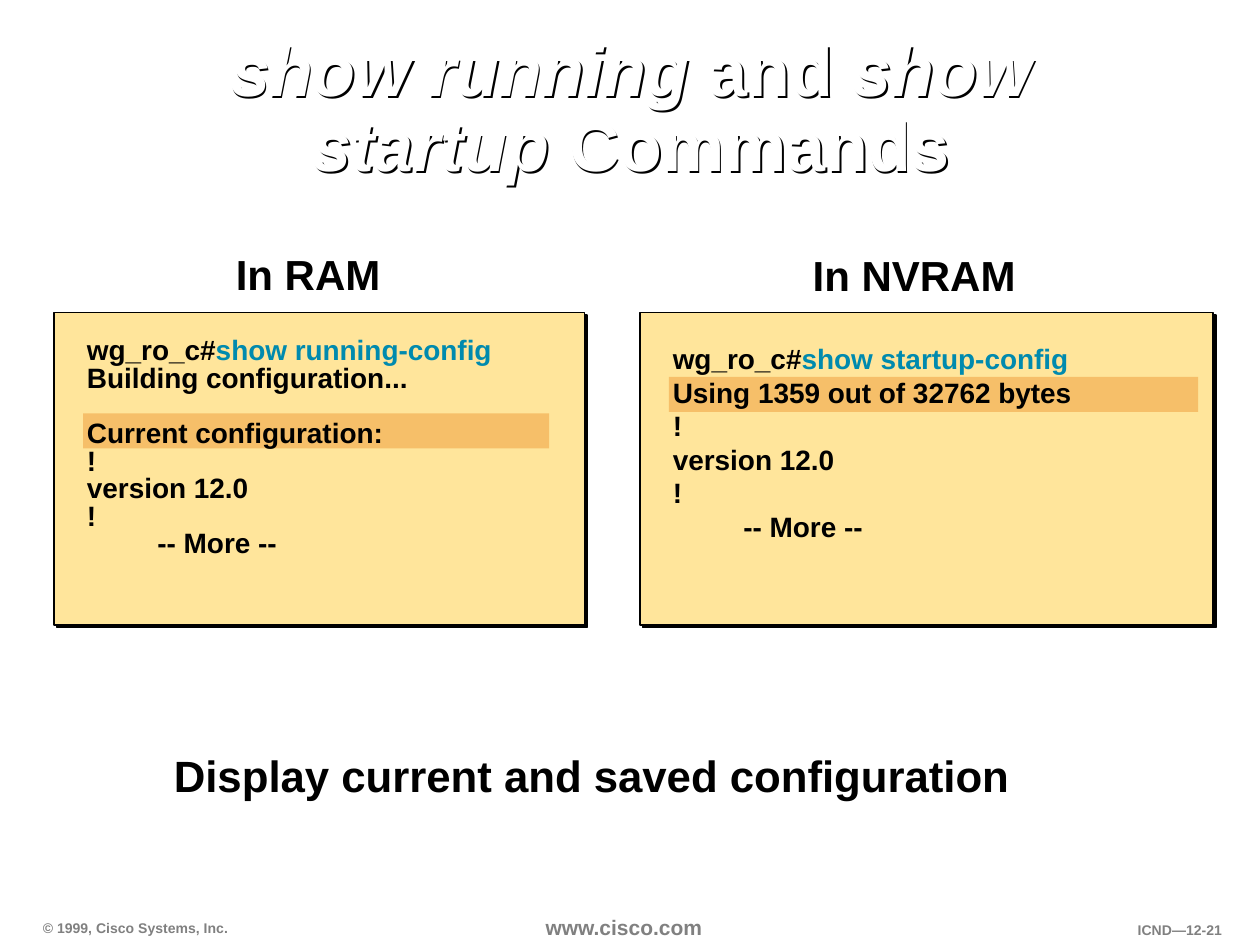
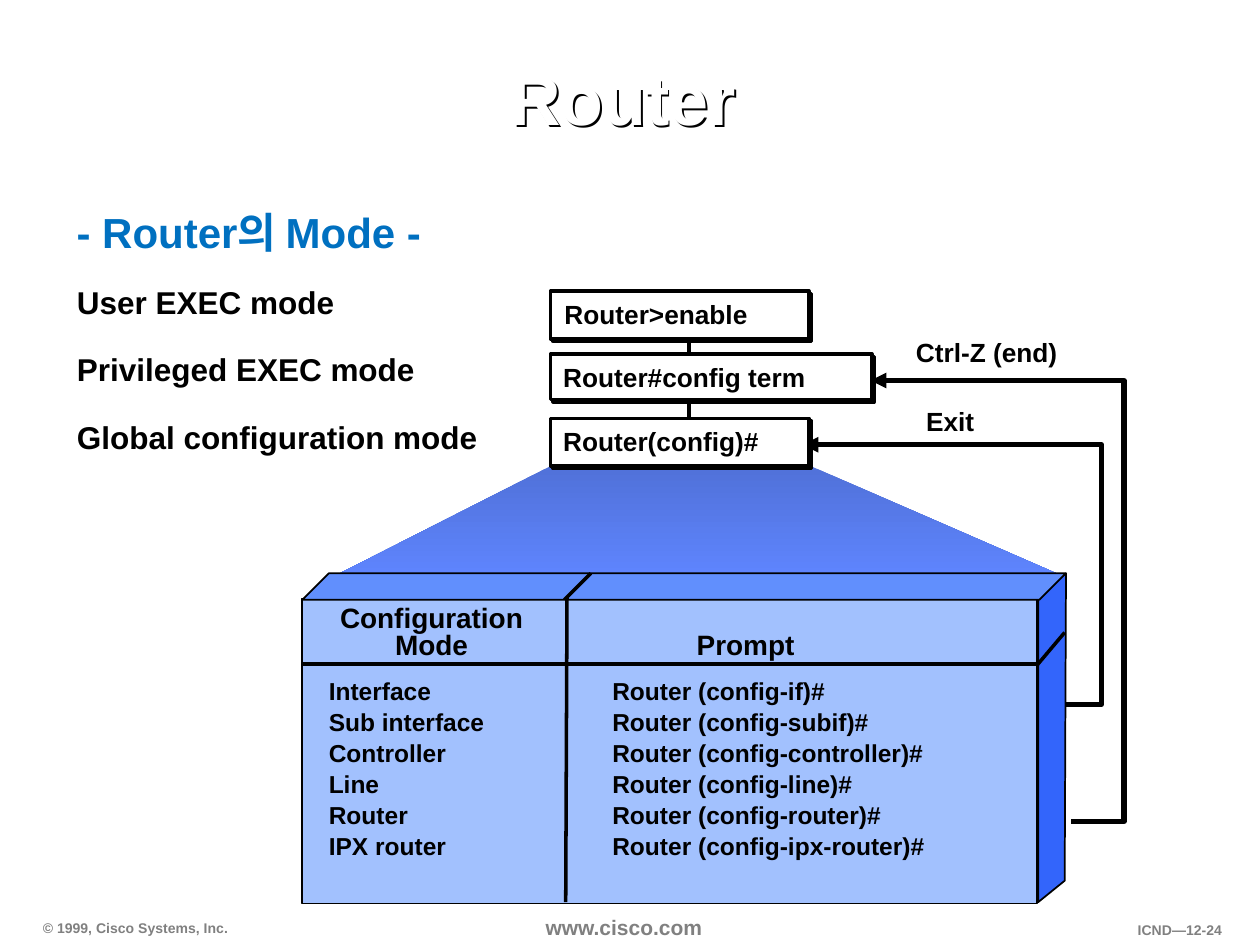
"""Builds two slides on router configuration commands and modes."""
from lxml.etree import SubElement
from pptx import Presentation
from pptx.dml.color import RGBColor
from pptx.enum.shapes import MSO_CONNECTOR, MSO_SHAPE
from pptx.enum.text import MSO_ANCHOR, MSO_AUTO_SIZE, PP_ALIGN
from pptx.oxml.ns import qn
from pptx.util import Inches, Pt

BLACK = RGBColor(0x00, 0x00, 0x00)
WHITE = RGBColor(0xFF, 0xFF, 0xFF)
GRAY = RGBColor(0x80, 0x80, 0x80)
TEAL = RGBColor(0x00, 0x8A, 0xAE)
HEADING_BLUE = RGBColor(0x00, 0x70, 0xC0)
CREAM = RGBColor(0xFF, 0xE5, 0x9B)
ORANGE = RGBColor(0xF6, 0xBF, 0x69)
BEAM_TOP = RGBColor(0x50, 0x71, 0xD8)
BEAM_BOTTOM = RGBColor(0x5F, 0x85, 0xFF)
FRONT_BLUE = RGBColor(0xA2, 0xC1, 0xFE)
TOP_BLUE = RGBColor(0x61, 0x8F, 0xFD)
SIDE_BLUE = RGBColor(0x33, 0x65, 0xFB)


def write(tf, paragraphs, size=16, color=BLACK, align=PP_ALIGN.LEFT, spacing=None,
          before=0, margin=0, indent=0):
    for i, runs in enumerate(paragraphs):
        runs = [runs] if isinstance(runs, str) else runs
        runs = [(run, {}) if isinstance(run, str) else run for run in runs]
        p = tf.paragraphs[0] if i == 0 else tf.add_paragraph()
        pPr = p._p.get_or_add_pPr()
        pPr.set("marL", str(Inches(runs[0][1].get("margin", margin))))
        pPr.set("indent", str(Inches(indent)))
        SubElement(pPr, qn("a:buNone"))
        p.alignment = align
        p.space_before = Pt(before if i else 0)
        if spacing:
            p.line_spacing = spacing
        for text, style in runs:
            r = p.add_run()
            r.text = text
            r.font.name = "Arial"
            r.font.size = Pt(size)
            r.font.bold = True
            r.font.italic = style.get("italic", False)
            r.font.color.rgb = style.get("color", color)


class Deck:
    def __init__(self):
        self.prs = Presentation()
        self.prs.slide_width, self.prs.slide_height = Inches(10), Inches(7.5)
        self.s = None

    def slide(self, page, title, title_box):
        self.s = self.prs.slides.add_slide(self.prs.slide_layouts[1])
        sp = self.s.shapes.title
        self.frame(sp, title_box, (0.09, 0.04), MSO_ANCHOR.MIDDLE)
        write(sp.text_frame, [title], size=40, color=WHITE,
              align=PP_ALIGN.CENTER, spacing=0.9)
        self.shadow(sp, 1.4)
        self.text((0.25, 7.26, 1.8, 0.22), ["© 1999, Cisco Systems, Inc."],
                  inset=(0.09, 0.04), size=8, color=GRAY)
        self.text((4.25, 7.22, 1.5, 0.28), ["www.cisco.com"],
                  inset=(0.08, 0.04), size=12, color=GRAY)
        self.text((8.52, 7.27, 1.27, 0.22), [f"ICND—{page}"],
                  inset=(0.09, 0.04), size=8, color=GRAY, align=PP_ALIGN.RIGHT)

    def frame(self, sp, box, inset, anchor=MSO_ANCHOR.TOP):
        sp.left, sp.top, sp.width, sp.height = map(Inches, box)
        tf = sp.text_frame
        tf.word_wrap = True
        tf.auto_size = MSO_AUTO_SIZE.NONE
        tf.vertical_anchor = anchor
        tf.margin_left = tf.margin_right = Inches(inset[0])
        tf.margin_top = tf.margin_bottom = Inches(inset[1])

    def text(self, box, paragraphs, inset=(0.1, 0.05), **style):
        sp = self.s.shapes.add_textbox(*map(Inches, box))
        self.frame(sp, box, inset)
        write(sp.text_frame, paragraphs, **style)

    def body(self, box, paragraphs, **style):
        sp = self.s.placeholders[1]
        self.frame(sp, box, (0.09, 0.04))
        write(sp.text_frame, paragraphs, **style)

    def shadow(self, sp, distance=2):
        sp.shadow.inherit = False
        effects = sp._element.spPr.find(qn("a:effectLst"))
        outer = SubElement(effects, qn("a:outerShdw"), dist=str(Pt(distance)),
                           dir="2700000", algn="ctr", rotWithShape="0")
        SubElement(outer, qn("a:srgbClr"), val=str(BLACK))

    def paint(self, sp, fill, width):
        sp.shadow.inherit = False
        if fill is None:
            sp.fill.background()
        else:
            sp.fill.solid()
            sp.fill.fore_color.rgb = fill
        if width:
            sp.line.color.rgb = BLACK
            sp.line.width = Pt(width)
        else:
            sp.line.fill.background()

    def rect(self, box, fill, width=0, shadow=False):
        sp = self.s.shapes.add_shape(MSO_SHAPE.RECTANGLE, *map(Inches, box))
        self.paint(sp, fill, width)
        if shadow:
            self.shadow(sp)

    def outline(self, points, fill=None, width=0, close=True):
        start, *rest = [(Inches(x), Inches(y)) for x, y in points]
        builder = self.s.shapes.build_freeform(*start)
        builder.add_line_segments(rest, close=close)
        sp = builder.convert_to_shape()
        self.paint(sp, fill, width)
        return sp

    def beam(self, points):
        fill = self.outline(points).fill
        fill.gradient()
        fill.gradient_angle = 270
        for stop, color in zip(fill.gradient_stops, (BEAM_TOP, BEAM_BOTTOM)):
            stop.color.rgb = color

    def return_arrow(self, points):
        sp = self.outline(points, width=3, close=False)
        SubElement(sp.line._get_or_add_ln(), qn("a:headEnd"), type="triangle")

    def line(self, x1, y1, x2, y2):
        c = self.s.shapes.add_connector(MSO_CONNECTOR.STRAIGHT,
                                        *map(Inches, (x1, y1, x2, y2)))
        c.line.color.rgb = BLACK
        c.line.width = Pt(2)
        SubElement(c._element.spPr, qn("a:effectLst"))


def build_commands(deck):
    italic = {"italic": True}
    teal = {"color": TEAL}
    deck.slide("12-21", [("show running", italic), " and ", ("show startup", italic),
                         " Commands"], (0.84, 0.26, 8.34, 1.25))
    for left, width in ((5.08, 4.55), (0.43, 4.21)):
        deck.rect((left, 2.48, width, 2.48), CREAM, 1, shadow=True)
    deck.rect((5.31, 2.99, 4.2, 0.28), ORANGE)
    deck.rect((0.66, 3.28, 3.7, 0.28), ORANGE)
    inset = (0.02, 0.03)
    rest = ["!", "version 12.0", "!", [("-- More --", {"margin": 0.56})]]
    deck.text((5.32, 2.68, 4.2, 1.91),
              [["wg_ro_c#", ("show startup-config", teal)],
               "Using 1359 out of 32762 bytes", *rest], inset, spacing=Pt(19.2))
    deck.text((0.67, 2.66, 3.9, 0.5),
              [["wg_ro_c#", ("show running-config", teal)],
               "Building configuration..."], inset, spacing=Pt(15.7))
    deck.text((0.67, 3.32, 3.9, 1.25), ["Current configuration:", *rest],
              inset, spacing=Pt(15.7))
    for box, caption in (((6.35, 1.93, 1.81, 0.5), "In NVRAM"),
                         ((1.77, 1.92, 1.35, 0.5), "In RAM")):
        deck.text(box, [caption], size=24, align=PP_ALIGN.CENTER)
    deck.body((1.16, 5.95, 7.54, 1.04), ["Display current and saved configuration"],
              size=25, spacing=0.9, margin=0.38, indent=-0.25)


def build_modes(deck):
    deck.slide("12-24", "Router", (0.59, 0.19, 8.71, 1.25))
    deck.text((0.51, 1.59, 9, 0.5), ["- Router의 Mode -"], size=24, color=HEADING_BLUE)
    deck.body((0.52, 2.13, 3.75, 1.78),
              ["User EXEC mode", "Privileged EXEC mode", "Global configuration mode"],
              size=18, spacing=1.25, before=11.5)
    deck.beam([(4.37, 3.7), (2.6, 4.6), (8.43, 4.57), (6.39, 3.68)])
    deck.return_arrow([(6.91, 3.02), (8.92, 3.02), (8.92, 6.52), (8.5, 6.52)])
    deck.return_arrow([(6.37, 3.53), (8.74, 3.53), (8.74, 5.59), (8.25, 5.59)])
    deck.line(5.47, 2.69, 5.47, 2.81)
    deck.line(5.47, 3.19, 5.47, 3.32)

    label = {"inset": (0.03, 0.05), "size": 15, "spacing": Pt(15.7)}
    for top, width, height, left, prompt in (
            (2.31, 2.05, 0.38, 4.45, "Router>enable"),
            (2.81, 2.55, 0.36, 4.44, "Router#config term"),
            (3.32, 2.05, 0.38, 4.44, "Router(config)#")):
        deck.rect((4.37, top, width, height), WHITE, 2, shadow=True)
        deck.text((left, top + 0.04, width - 0.1, 0.3), [prompt], **label)
    deck.text((7.32, 3.2, 0.84, 0.39), ["Exit"], **label)
    deck.text((7.24, 2.65, 1.4, 0.39), ["Ctrl-Z (end)"], **label)

    deck.outline([(8.46, 4.55), (8.24, 4.72), (8.24, 7.16), (8.45, 6.99)], SIDE_BLUE, 1)
    deck.rect((2.4, 4.75, 5.83, 2.42), FRONT_BLUE, 1)
    deck.outline([(2.4, 4.76), (2.61, 4.55), (8.46, 4.55), (8.25, 4.76)], TOP_BLUE, 1)
    cell = {"inset": (0.13, 0.06)}
    deck.text((2.17, 4.76, 2.51, 0.56), ["Configuration", "Mode"],
              align=PP_ALIGN.CENTER, spacing=0.8, **cell)
    deck.text((5.4, 4.94, 1.43, 0.38), ["Prompt"], spacing=0.95, **cell)
    modes = {"Interface": "if", "Sub interface": "subif", "Controller": "controller",
             "Line": "line", "Router": "router", "IPX router": "ipx-router"}
    prompts = [f"Router (config-{suffix})#" for suffix in modes.values()]
    for left, width, column in ((2.48, 2, modes), (4.73, 3.5, prompts)):
        deck.text((left, 5.32, width, 1.58), column,
                  size=14, spacing=0.95, before=1.8, **cell)
    for ends in ((4.69, 4.55, 4.48, 4.76), (2.4, 5.27, 8.24, 5.27),
                 (8.23, 5.28, 8.45, 5.02), (4.5, 4.74, 4.49, 7.16)):
        deck.line(*ends)


def main():
    deck = Deck()
    build_commands(deck)
    build_modes(deck)
    deck.prs.save("out.pptx")


if __name__ == "__main__":
    main()
